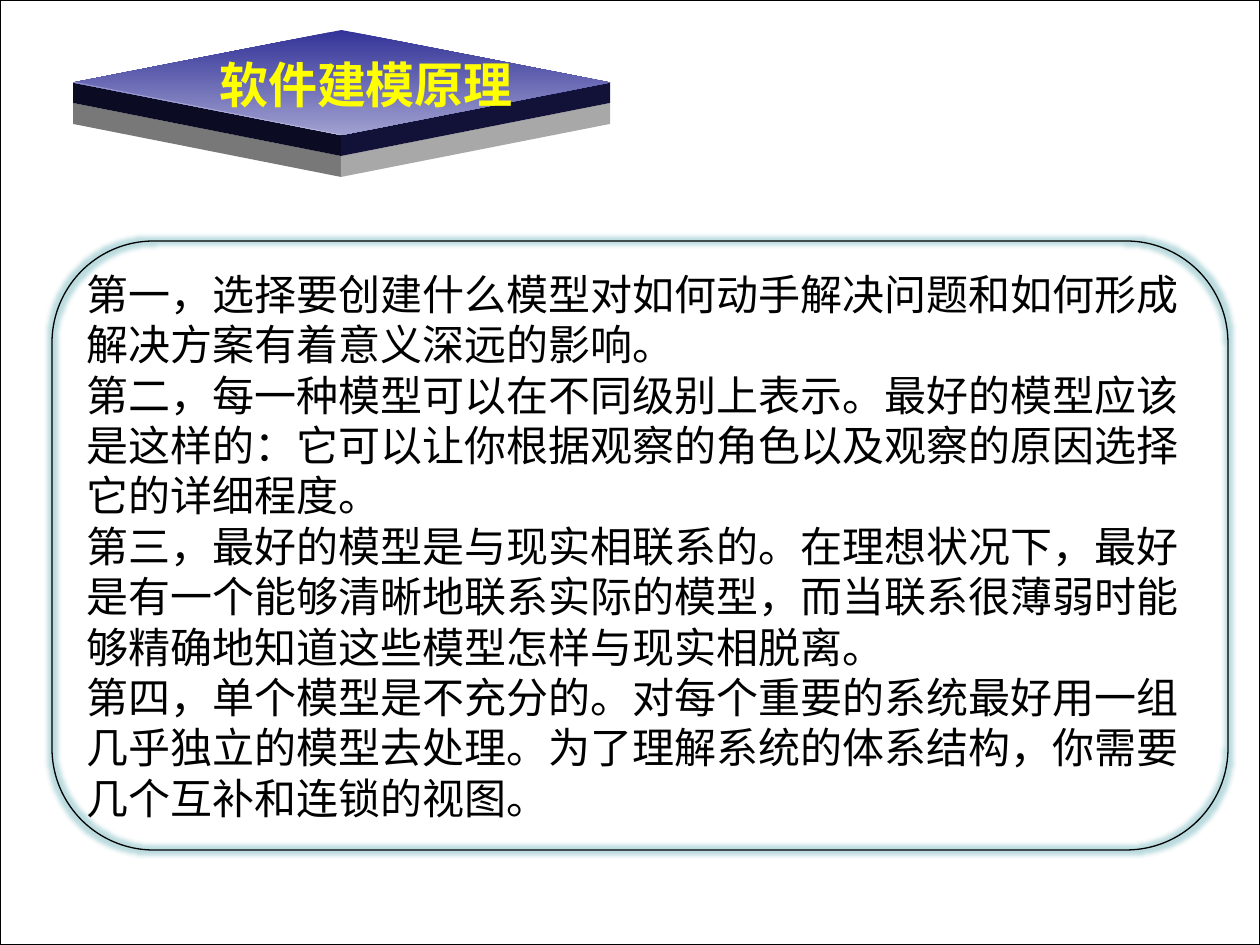
from lxml.etree import SubElement
from pptx import Presentation
from pptx.dml.color import RGBColor
from pptx.enum.shapes import MSO_CONNECTOR, MSO_SHAPE
from pptx.enum.text import MSO_ANCHOR, MSO_AUTO_SIZE, PP_ALIGN
from pptx.oxml.ns import qn
from pptx.util import Pt

PX = 914400 / 126
BLACK = RGBColor(0x00, 0x00, 0x00)
WHITE = RGBColor(0xFF, 0xFF, 0xFF)
YELLOW = RGBColor(0xFF, 0xFF, 0x00)
INDIGO = RGBColor(0x33, 0x33, 0x99)
LAVENDER = RGBColor(0xA0, 0xA0, 0xD0)
NAVY_LEFT = RGBColor(0x0B, 0x0B, 0x24)
NAVY_RIGHT = RGBColor(0x12, 0x12, 0x38)
GRAY_LEFT = RGBColor(0x78, 0x78, 0x78)
GRAY_RIGHT = RGBColor(0xA8, 0xA8, 0xA8)
GLOW = RGBColor(0x9C, 0xCB, 0xD0)

PARAGRAPHS = [
    "第一，选择要创建什么模型对如何动手解决问题和如何形成解决方案有着意义深远的影响。",
    "第二，每一种模型可以在不同级别上表示。最好的模型应该是这样的：它可以让你根据观察的角色以及观察的原因选择它的详细程度。",
    "第三，最好的模型是与现实相联系的。在理想状况下，最好是有一个能够清晰地联系实际的模型，而当联系很薄弱时能够精确地知道这些模型怎样与现实相脱离。",
    "第四，单个模型是不充分的。对每个重要的系统最好用一组几乎独立的模型去处理。为了理解系统的体系结构，你需要几个互补和连锁的视图。",
]


def px(*values):
    return [round(v * PX) for v in values]


prs = Presentation()
prs.slide_width, prs.slide_height = px(1260, 945)
s = prs.slides.add_slide(prs.slide_layouts[5])
shapes = s.shapes

frame = shapes.add_shape(MSO_SHAPE.RECTANGLE, *px(0, 0, 1260, 945))
frame.fill.solid()
frame.fill.fore_color.rgb = WHITE
panel = shapes.add_shape(MSO_SHAPE.ROUNDED_RECTANGLE, *px(52, 241, 1176, 609))
panel.adjustments[0] = 0.167
panel.fill.background()
for sp in (frame, panel):
    sp.shadow.inherit = False
    sp.line.color.rgb = BLACK
    sp.line.width = Pt(0.75)
effects = panel._element.spPr.find(qn("a:effectLst"))
glow = SubElement(effects, qn("a:glow"), rad=str(px(10)[0]))
color = SubElement(glow, qn("a:srgbClr"), val=str(GLOW))
SubElement(color, qn("a:alpha"), val="70000")

LEFT, MID, RIGHT = 73, 341, 610
SIDE_Y, BOTTOM_Y, DEPTH = 82, 135, 21
for level, left_color, right_color in (
    (1, GRAY_LEFT, GRAY_RIGHT),
    (0, NAVY_LEFT, NAVY_RIGHT),
):
    drop = level * DEPTH
    for x, fill in ((LEFT, left_color), (RIGHT, right_color)):
        fb = shapes.build_freeform(x, SIDE_Y + drop, scale=PX)
        fb.add_line_segments([
            (MID, BOTTOM_Y + drop),
            (MID, BOTTOM_Y + drop + DEPTH),
            (x, SIDE_Y + drop + DEPTH),
        ])
        sp = fb.convert_to_shape()
        sp.shadow.inherit = False
        sp.fill.solid()
        sp.fill.fore_color.rgb = fill
        sp.line.fill.background()

top = shapes.add_shape(MSO_SHAPE.DIAMOND, *px(LEFT, 30, RIGHT - LEFT, 105))
top.shadow.inherit = False
top.line.fill.background()
top.fill.gradient()
top.fill.gradient_angle = 270
for stop, position, rgb in zip(top.fill.gradient_stops, (0, 1), (INDIGO, LAVENDER)):
    stop.position = position
    stop.color.rgb = rgb

edge = shapes.add_connector(MSO_CONNECTOR.STRAIGHT, *px(LEFT, SIDE_Y, MID, BOTTOM_Y))
edge.line.color.rgb = WHITE
edge.line.width = Pt(0.5)
SubElement(edge._element.spPr.find(".//" + qn("a:srgbClr")), qn("a:alpha"), val="30000")
SubElement(edge._element.spPr, qn("a:effectLst"))

title = shapes.title
title.left, title.top, title.width, title.height = px(216, 50, 300, 68)
shapes._spTree.append(title._element)
title.text = "软件建模原理"
body = shapes.add_textbox(*px(74, 262, 1133, 572))
body.text_frame.text = "\n".join(PARAGRAPHS)

FORMATS = [
    (
        title,
        {"word_wrap": False, "auto_size": MSO_AUTO_SIZE.NONE,
         "vertical_anchor": MSO_ANCHOR.MIDDLE, "margin_left": 0,
         "margin_right": 0, "margin_top": 0, "margin_bottom": 0},
        {"alignment": PP_ALIGN.CENTER},
        {"name": "Noto Sans CJK SC", "size": Pt(28), "bold": True},
        YELLOW,
    ),
    (
        body,
        {"word_wrap": True, "auto_size": MSO_AUTO_SIZE.SHAPE_TO_FIT_TEXT},
        {"alignment": PP_ALIGN.LEFT, "line_spacing": Pt(28.8)},
        {"name": "Arial", "size": Pt(24)},
        BLACK,
    ),
]
for sp, frame_format, paragraph_format, font_format, rgb in FORMATS:
    tf = sp.text_frame
    for key, value in frame_format.items():
        setattr(tf, key, value)
    for p in tf.paragraphs:
        for key, value in paragraph_format.items():
            setattr(p, key, value)
        for r in p.runs:
            for key, value in font_format.items():
                setattr(r.font, key, value)
            r.font.color.rgb = rgb
            SubElement(r.font._element, qn("a:ea"), typeface="Noto Sans CJK SC")

prs.save("out.pptx")
